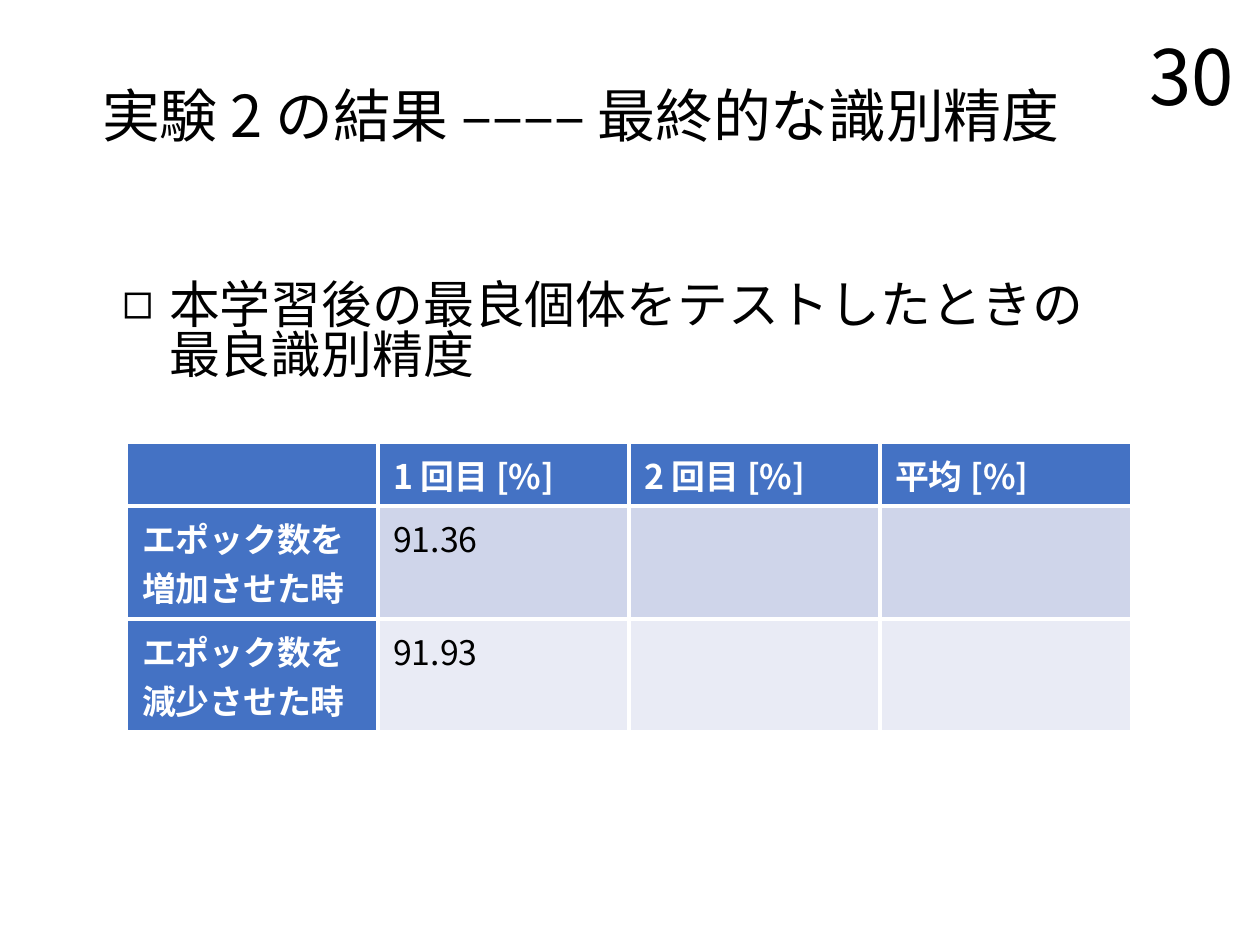
from lxml.etree import SubElement
from pptx import Presentation
from pptx.dml.color import RGBColor
from pptx.enum.text import MSO_ANCHOR, MSO_AUTO_SIZE, PP_ALIGN
from pptx.oxml.ns import qn
from pptx.util import Pt

PX = 6000  # EMU per px
FONT = "Noto Sans CJK JP"
BLACK = RGBColor(0x00, 0x00, 0x00)
WHITE = RGBColor(0xFF, 0xFF, 0xFF)
BLUE = RGBColor(0x44, 0x72, 0xC4)
BANDS = [BLUE, RGBColor(0xCF, 0xD5, 0xEA), RGBColor(0xE9, 0xEB, 0xF5)]


def style(frame, size, color=BLACK, bold=False):
    for para in frame.paragraphs:
        for run in para.runs:
            font = run.font
            font.name, font.size, font.bold = FONT, Pt(size), bold
            font.color.rgb = color
            SubElement(font._element, qn("a:ea"), typeface=FONT)


def place(shape, left, top, width, height):
    shape.left, shape.top = left * PX, top * PX
    shape.width, shape.height = width * PX, height * PX


deck = Presentation()
deck.slide_width, deck.slide_height = 1260 * PX, 945 * PX
slide = deck.slides.add_slide(deck.slide_layouts[1])
title, body = slide.placeholders

# Title
place(title, 87, 27, 1087, 183)
frame = title.text_frame
frame.text = "実験 2 の結果 –––– 最終的な識別精度"
frame.auto_size = MSO_AUTO_SIZE.NONE
frame.vertical_anchor = MSO_ANCHOR.MIDDLE
frame.paragraphs[0].alignment = PP_ALIGN.LEFT
frame.paragraphs[0].line_spacing = 0.9
style(frame, 27.3)

# Page number
page = slide.shapes.add_textbox(966 * PX, 50 * PX, 283 * PX, 50 * PX)
frame = page.text_frame
frame.text = "30"
frame.word_wrap = True
frame.vertical_anchor = MSO_ANCHOR.MIDDLE
frame.paragraphs[0].alignment = PP_ALIGN.RIGHT
style(frame, 36)

# Bullet
place(body, 107, 275, 1003, 139)
frame = body.text_frame
frame.text = "本学習後の最良個体をテストしたときの\v最良識別精度"
frame.auto_size = MSO_AUTO_SIZE.NONE
frame.vertical_anchor = MSO_ANCHOR.TOP
para = frame.paragraphs[0]
para.line_spacing = 0.83
para.space_before = Pt(0)
props = para._p.get_or_add_pPr()
props.set("marL", str(47 * PX))
props.set("indent", str(-47 * PX))
SubElement(props, qn("a:buChar"), char="◻")
style(frame, 24)

# Table
ROWS = [
    ["", "1 回目 [%]", "2 回目 [%]", "平均 [%]"],
    ["エポック数を\n増加させた時", "91.36", "", ""],
    ["エポック数を\n減少させた時", "91.93", "", ""],
]
HEIGHTS = [63, 113, 112]
table = slide.shapes.add_table(
    3, 4, 127 * PX, 443 * PX, 1004 * PX, sum(HEIGHTS) * PX).table
for col in table.columns:
    col.width = 251 * PX
for r, texts in enumerate(ROWS):
    table.rows[r].height = HEIGHTS[r] * PX
    for c, text in enumerate(texts):
        cell = table.cell(r, c)
        head = r == 0 or c == 0
        cell.text_frame.text = text
        style(cell.text_frame, 16, WHITE if head else BLACK, head)

        # White borders, thin on the outer edge
        outer = {"L": c == 0, "R": c == 3, "T": r == 0, "B": r == 2}
        for side, thin in outer.items():
            line = SubElement(cell._tc.get_or_add_tcPr(), qn("a:ln" + side),
                              w=str(Pt(1 if thin else 2.25)))
            fill = SubElement(line, qn("a:solidFill"))
            SubElement(fill, qn("a:srgbClr"), val=str(WHITE))
        cell.fill.solid()
        cell.fill.fore_color.rgb = BLUE if head else BANDS[r]

deck.save("out.pptx")
